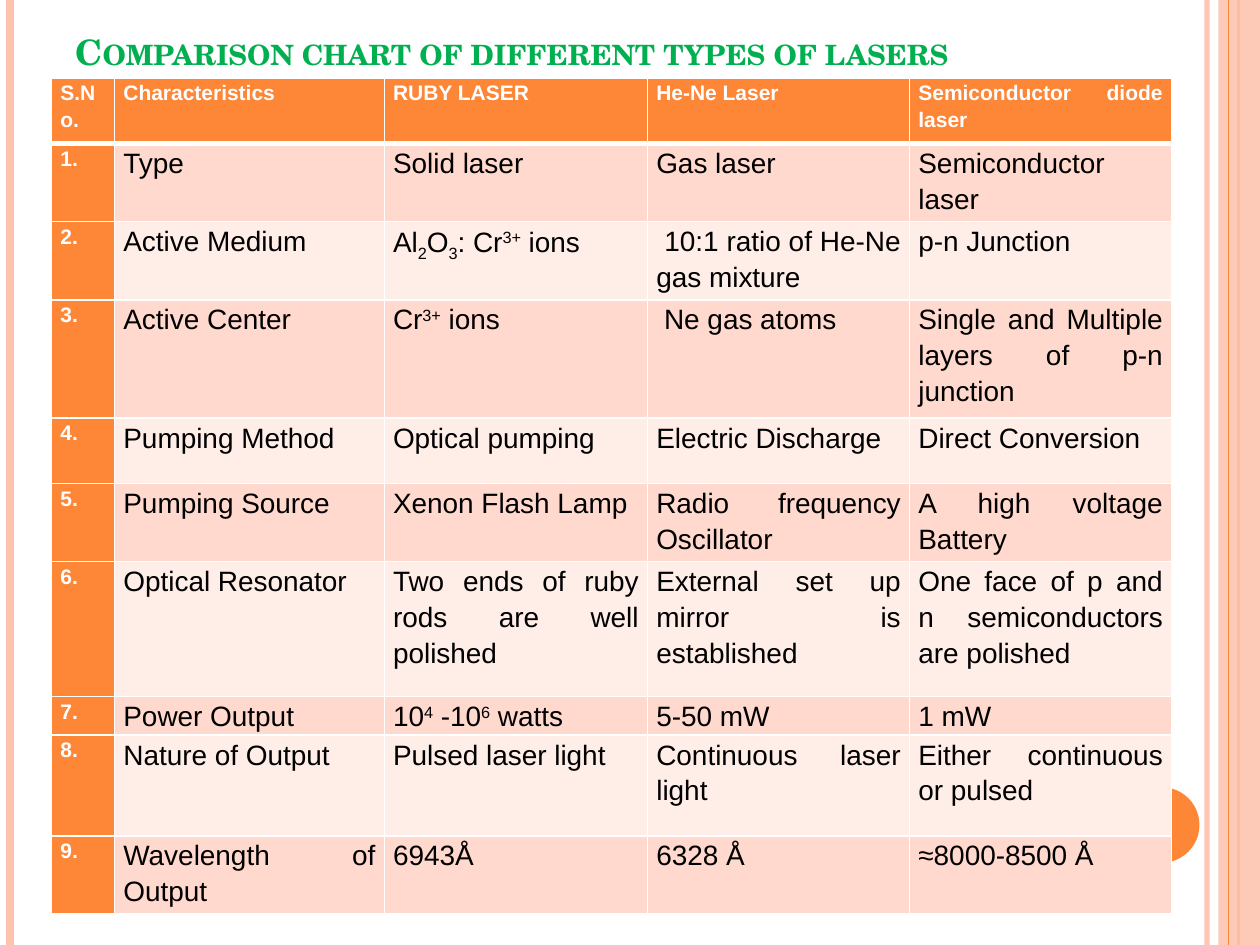
from lxml import etree
from pptx import Presentation
from pptx.dml.color import RGBColor
from pptx.enum.shapes import MSO_CONNECTOR, MSO_SHAPE
from pptx.enum.text import MSO_ANCHOR, PP_ALIGN
from pptx.oxml.ns import qn
from pptx.util import Inches, Pt

STRAIGHT = MSO_CONNECTOR.STRAIGHT
RECTANGLE, OVAL = MSO_SHAPE.RECTANGLE, MSO_SHAPE.OVAL
BOTTOM, JUSTIFY = MSO_ANCHOR.BOTTOM, PP_ALIGN.JUSTIFY

WIDTH, HEIGHT = 10, 7.5
ORANGE, PEACH, WHITE = "FE8637", "FEC3AE", "FFFFFF"
BANDS = ("FFD9CE", "FFEDE8")

# Text formats
TITLE = {"name": "TeX Gyre Schola", "size": Pt(20), "bold": True, "color": "00B050"}
HEADING = {"name": "Arial", "size": Pt(12), "bold": True, "color": WHITE}
BODY = {"name": "Arial", "size": Pt(16), "bold": False, "color": "000000"}

# Vertical rules: (share of the width, colour, points, opacity in percent)
RULES_BELOW = [(0.958, PEACH, 3, 93), (0.008, PEACH, 4.5, 100), (0.983, ORANGE, 1.5, 100)]
RULE_ABOVE = (0.975, ORANGE, 0.75, 100)

# Table content; "|" parts the spans, "_" lowers a span and "^" raises it
COLUMNS = [0.5, 2.14, 2.09, 2.08, 2.08]
ROWS = [0.52, 0.62, 0.62, 0.94, 0.52, 0.62, 1.07, 0.3, 0.8, 0.62]
HEADER = ["S.No.", "Characteristics", "RUBY LASER", "He-Ne Laser",
          "Semiconductor diode laser"]
LASERS = [
    ["Type", "Solid laser", "Gas laser", "Semiconductor laser"],
    ["Active Medium", "Al|_2|O|_3|: Cr|^3+| ions",
     " 10:1 ratio of He-Ne gas mixture", "p-n Junction"],
    ["Active Center", "Cr|^3+| ions", " Ne gas atoms",
     "Single and Multiple layers of p-n junction"],
    ["Pumping Method", "Optical pumping", "Electric Discharge", "Direct Conversion"],
    ["Pumping Source", "Xenon Flash Lamp", "Radio frequency Oscillator",
     "A high voltage Battery"],
    ["Optical Resonator", "Two ends of ruby rods are well polished",
     "External set up mirror is established",
     "One face of p and n semiconductors are polished"],
    ["Power Output", "10|^4| -10|^6| watts", "5-50 mW", "1 mW"],
    ["Nature of Output", "Pulsed laser light", "Continuous laser light",
     "Either continuous or pulsed"],
    ["Wavelength of Output", "6943Å", "6328 Å", "≈8000-8500 Å"],
]
BASELINES = {"_": "-25000", "^": "30000"}


def paint(color_format, color):
    color_format.rgb = RGBColor.from_string(color)


def share(x, y):
    return Inches(x * WIDTH), Inches(y * HEIGHT)


def set_opacity(element, percent):
    if percent < 100:
        color = next(element.iter(qn("a:srgbClr")))
        etree.SubElement(color, qn("a:alpha"), val=str(percent * 1000))


def add_rule(page, x, color, points, opacity):
    rule = page.shapes.add_connector(STRAIGHT, *share(x, 0), *share(x, 1))
    rule.line.width = Pt(points)
    paint(rule.line.color, color)
    properties = rule._element.spPr
    set_opacity(properties, opacity)
    etree.SubElement(properties, qn("a:effectLst"))


def add_block(page, preset, position, size, color, opacity=100):
    block = page.shapes.add_shape(preset, *share(*position), *share(*size))
    block.shadow.inherit = False
    block.fill.solid()
    paint(block.fill.fore_color, color)
    block.line.fill.background()
    set_opacity(block._element.spPr, opacity)


def add_span(para, text, style):
    span = para.add_run()
    span.text = text
    for name, value in style.items():
        if name == "color":
            paint(span.font.color, value)
        else:
            setattr(span.font, name, value)
    return span


def add_title(page, text):
    box = page.shapes.add_textbox(*share(0.05, 0), *share(0.817, 0.083))
    frame = box.text_frame
    frame.word_wrap = True
    frame.vertical_anchor = BOTTOM
    span = add_span(frame.paragraphs[0], text, TITLE)
    span.font._element.set("cap", "small")


def add_border(cell, side, points):
    line = etree.SubElement(cell._tc.get_or_add_tcPr(), qn(f"a:ln{side}"),
                            w=str(Pt(points)))
    fill = etree.SubElement(line, qn("a:solidFill"))
    etree.SubElement(fill, qn("a:srgbClr"), val=WHITE)


def fill_cell(cell, text, style, color, borders):
    for side, points in borders.items():
        add_border(cell, side, points)
    cell.fill.solid()
    paint(cell.fill.fore_color, color)
    cell.margin_left = cell.margin_right = Inches(0.07)
    cell.margin_top = cell.margin_bottom = 0
    para = cell.text_frame.paragraphs[0]
    para.alignment = JUSTIFY
    para.line_spacing = 1.15
    for part in text.split("|"):
        baseline = BASELINES.get(part[:1])
        span = add_span(para, part[1:] if baseline else part, style)
        if baseline:
            span.font._element.set("baseline", baseline)


def add_laser_table(page):
    contents = [HEADER] + [[f"{number}.", *row] for number, row in enumerate(LASERS, 1)]
    table = page.shapes.add_table(
        len(ROWS), len(COLUMNS), Inches(0.41), Inches(0.62),
        Inches(sum(COLUMNS)), Inches(sum(ROWS))).table
    table.first_row = table.horz_banding = False
    for column, width in zip(table.columns, COLUMNS):
        column.width = Inches(width)
    for i, (row, height) in enumerate(zip(table.rows, ROWS)):
        row.height = Inches(height)
        borders = {"L": 1, "R": 1, "T": 3 if i == 1 else 1, "B": 3 if i == 0 else 1}
        for j, text in enumerate(contents[i]):
            is_heading = i == 0 or j == 0
            fill_cell(table.cell(i, j), text, HEADING if is_heading else BODY,
                      ORANGE if is_heading else BANDS[(i - 1) % 2], borders)


def main():
    deck = Presentation()
    deck.slide_width, deck.slide_height = share(1, 1)
    page = deck.slides.add_slide(deck.slide_layouts[6])

    # Side decoration
    for rule in RULES_BELOW:
        add_rule(page, *rule)
    add_block(page, RECTANGLE, (0.967, 0), (0.033, 1), PEACH, 87)
    add_rule(page, *RULE_ABOVE)
    add_block(page, OVAL, (0.892, 0.833), (0.06, 0.08), ORANGE)

    # Title and comparison table
    add_title(page, "Comparison chart of different types of lasers")
    add_laser_table(page)
    deck.save("out.pptx")


if __name__ == "__main__":
    main()
